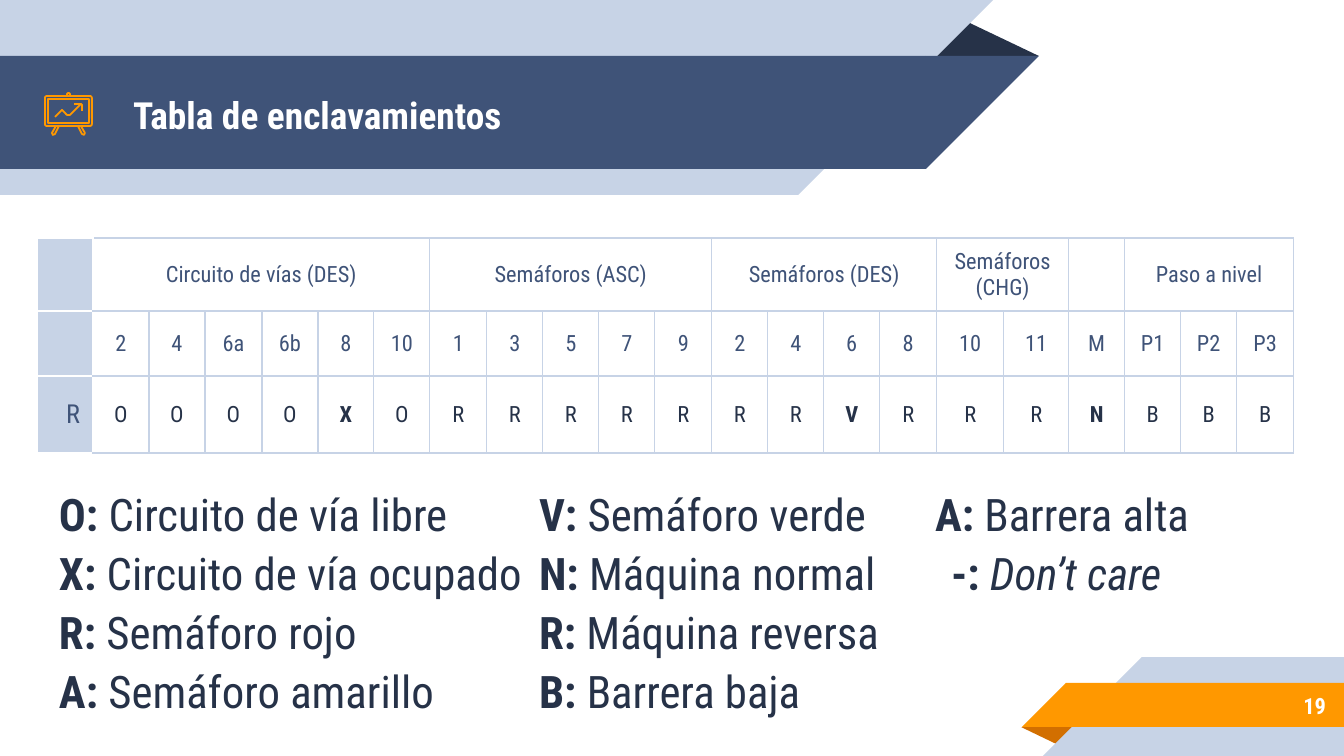
from lxml import etree
from pptx import Presentation
from pptx.dml.color import RGBColor
from pptx.enum.shapes import MSO_SHAPE
from pptx.enum.text import MSO_ANCHOR, MSO_AUTO_SIZE, PP_ALIGN
from pptx.oxml.ns import qn
from pptx.util import Emu, Pt

RECTANGLE = MSO_SHAPE.RECTANGLE
ROUNDED = MSO_SHAPE.ROUNDED_RECTANGLE
TRIANGLE = MSO_SHAPE.ISOSCELES_TRIANGLE
CORNER = MSO_SHAPE.RIGHT_TRIANGLE
MIDDLE = MSO_ANCHOR.MIDDLE
NO_FIT = MSO_AUTO_SIZE.NONE
LEFT, CENTER, RIGHT = PP_ALIGN.LEFT, PP_ALIGN.CENTER, PP_ALIGN.RIGHT

SCALE = 914400 / 134.4  # EMU in one px
FONT = "Roboto Condensed"
COLORS = {
    "pale": "C7D3E6", "blue": "3F5378", "navy": "263248",
    "orange": "FF9800", "rust": "D26F00", "white": "FFFFFF",
}


def px(length):
    return Emu(round(length * SCALE))


def color(name):
    return RGBColor.from_string(COLORS[name])


def add_text(paragraph, text, size=12, fill="navy", bold=False, italic=False, align=LEFT):
    paragraph.alignment = align
    run = paragraph.add_run()
    run.text = text
    font = run.font
    font.name, font.size, font.bold, font.italic = FONT, Pt(size), bold, italic
    font.color.rgb = color(fill)


class SlideBuilder:
    def __init__(self, presentation):
        self.layout = presentation.slide_layouts.get_by_name("Comparison")
        self.slide = presentation.slides.add_slide(self.layout)
        self.shapes = self.slide.shapes
        # Placeholders are added later, above the decoration
        for placeholder in list(self.slide.placeholders):
            placeholder.element.getparent().remove(placeholder.element)

    def shape(self, kind, box, fill, rotation=0, adjustment=None):
        shape = self.shapes.add_shape(kind, *map(px, box))
        shape.shadow.inherit = False
        shape.fill.solid()
        shape.fill.fore_color.rgb = color(fill)
        shape.line.fill.background()
        shape.rotation = rotation
        if adjustment is not None:
            shape.adjustments[0] = adjustment
        return shape

    def band(self, left, top, width, height, fill, slant_left=False):
        """Bar with a 45 degree end on one side."""
        self.shape(RECTANGLE, (left, top, width, height), fill)
        end = left - height if slant_left else left + width
        self.shape(CORNER, (end, top, height, height), fill, 270 if slant_left else 90)

    def outline(self, shape):
        shape.shadow.inherit = False
        shape.fill.background()
        shape.line.color.rgb = color("orange")
        shape.line.width = Pt(0.96)

    def stroke(self, points, close=False):
        builder = self.shapes.build_freeform(*points[0], scale=SCALE)
        builder.add_line_segments(points[1:], close=close)
        self.outline(builder.convert_to_shape())

    def frame(self, shape, box):
        shape.left, shape.top, shape.width, shape.height = map(px, box)
        frame = shape.text_frame
        frame.word_wrap, frame.auto_size = True, NO_FIT
        frame.vertical_anchor = MIDDLE
        frame.margin_left = frame.margin_right = px(13)
        frame.margin_top = frame.margin_bottom = px(13)
        paragraph = frame.paragraphs[0]
        paragraph.space_before = Pt(0)
        return paragraph

    def placeholder(self, index, box):
        self.shapes.clone_placeholder(self.layout.placeholders[index])
        return self.frame(self.shapes[-1], box)

    def text_box(self, box):
        return self.frame(self.shapes.add_textbox(*map(px, box)), box)

    def borders(self, cell, **sides):
        properties = cell._tc.get_or_add_tcPr()
        for side in "LRTB":
            line = etree.SubElement(properties, qn(f"a:ln{side}"), w=str(Pt(0.75)))
            fill = etree.SubElement(line, qn("a:solidFill"))
            etree.SubElement(fill, qn("a:srgbClr"), val=COLORS[sides.get(side, "pale")])

    def table(self, left, top, widths, heights):
        graphic = self.shapes.add_table(len(heights), len(widths), px(left), px(top),
                                        px(sum(widths)), px(sum(heights)))
        table = graphic.table
        table.first_row = table.horz_banding = False
        for column, width in zip(table.columns, widths):
            column.width = px(width)
        for row, height in zip(table.rows, heights):
            row.height = px(height)
            for index, cell in enumerate(row.cells):
                if index == 0:
                    self.borders(cell, L="white", R="white", T="white", B="white")
                else:
                    self.borders(cell, L="white" if index == 1 else "pale")
                cell.fill.solid()
                cell.fill.fore_color.rgb = color("white" if index else "pale")
                cell.vertical_anchor = MIDDLE
                cell.margin_left = cell.margin_right = px(13)
                cell.margin_top = cell.margin_bottom = px(9)
        return table


def add_bands(builder):
    builder.shape(TRIANGLE, (925, 19, 114, 37), "navy", adjustment=0.32)
    builder.band(0, 0, 798, 195, "pale")
    builder.band(0, 56, 926, 113, "blue")
    builder.shape(TRIANGLE, (1021, 727, 58, 19), "rust", 180, 0.32)
    builder.band(1142, 657, 202, 99, "pale", slant_left=True)
    builder.band(1066, 683, 278, 44, "orange", slant_left=True)


def add_board_icon(builder):
    board = builder.shape(ROUNDED, (45, 96, 47, 30), "white", adjustment=0.06)
    builder.outline(board)
    builder.stroke([(70, 96), (70, 94), (69, 93), (68, 93), (67, 94), (67, 96)])
    leg = [(56, 126), (52, 133), (53, 135), (55, 134), (59, 126)]
    builder.stroke(leg)
    builder.stroke([(137 - x, y) for x, y in leg])
    builder.stroke([(48, 99), (48, 123), (89, 123), (89, 99)], close=True)
    builder.stroke([(81, 104), (70, 115), (67, 115), (62, 110), (55, 117)])
    builder.stroke([(74, 104), (81, 104), (82, 105), (82, 111)])


def add_interlocking_table(builder):
    four_columns = [56, 56, 56, 57]
    table = builder.table(37, 238, four_columns * 4 + [67, 65] + four_columns, [73, 65, 77])
    groups = [("Circuito de vías (DES)", 6), ("Semáforos (ASC)", 5), ("Semáforos (DES)", 4),
              ("Semáforos (CHG)", 2), ("", 1), ("Paso a nivel", 3)]
    column = 1
    for name, span in groups:
        cell = table.cell(0, column)
        if span > 1:
            cell.merge(table.cell(0, column + span - 1))
        if name:
            add_text(cell.text_frame.paragraphs[0], name, fill="blue", align=CENTER)
        column += span

    elements = "2 4 6a 6b 8 10 1 3 5 7 9 2 4 6 8 10 11 M P1 P2 P3".split()
    states = "OOOOXORRRRRRRVRRRNBBB"
    for column, (element, state) in enumerate(zip(elements, states), 1):
        add_text(table.cell(1, column).text_frame.paragraphs[0], element,
                 fill="blue", align=CENTER)
        add_text(table.cell(2, column).text_frame.paragraphs[0], state,
                 bold=state in "XVN", align=CENTER)
    add_text(table.cell(2, 0).text_frame.paragraphs[0], "R", size=14, fill="blue", align=RIGHT)


def add_legend(builder):
    legend = [
        (46, [("O", "Circuito de vía libre"), ("X", "Circuito de vía ocupado"),
              ("R", "Semáforo rojo"), ("A", "Semáforo amarillo")]),
        (526, [("V", "Semáforo verde"), ("N", "Máquina normal"),
               ("R", "Máquina reversa"), ("B", "Barrera baja")]),
        (922, [("A", "Barrera alta"), ("-", "Don’t care")]),
    ]
    for left, entries in legend:
        for row, (code, meaning) in enumerate(entries):
            wildcard = code == "-"
            box = (left + 16 * wildcard, 488 + 59 * row, 493 if code == "X" else 417, 52)
            paragraph = builder.placeholder(1, box)
            add_text(paragraph, f"{code}: ", size=24, bold=True)
            add_text(paragraph, meaning, size=24, italic=wildcard)


def main():
    presentation = Presentation()
    presentation.slide_width, presentation.slide_height = px(1344), px(756)
    builder = SlideBuilder(presentation)

    # Ribbons, title and icon
    add_bands(builder)
    add_text(builder.placeholder(0, (120, 58, 773, 113)), "Tabla de enclavamientos",
             size=20, fill="white", bold=True)
    add_board_icon(builder)

    # Table, legend and slide number
    add_interlocking_table(builder)
    add_legend(builder)
    add_text(builder.text_box((1120, 682, 219, 47)), "19", fill="white", bold=True, align=RIGHT)
    presentation.save("out.pptx")


if __name__ == "__main__":
    main()
